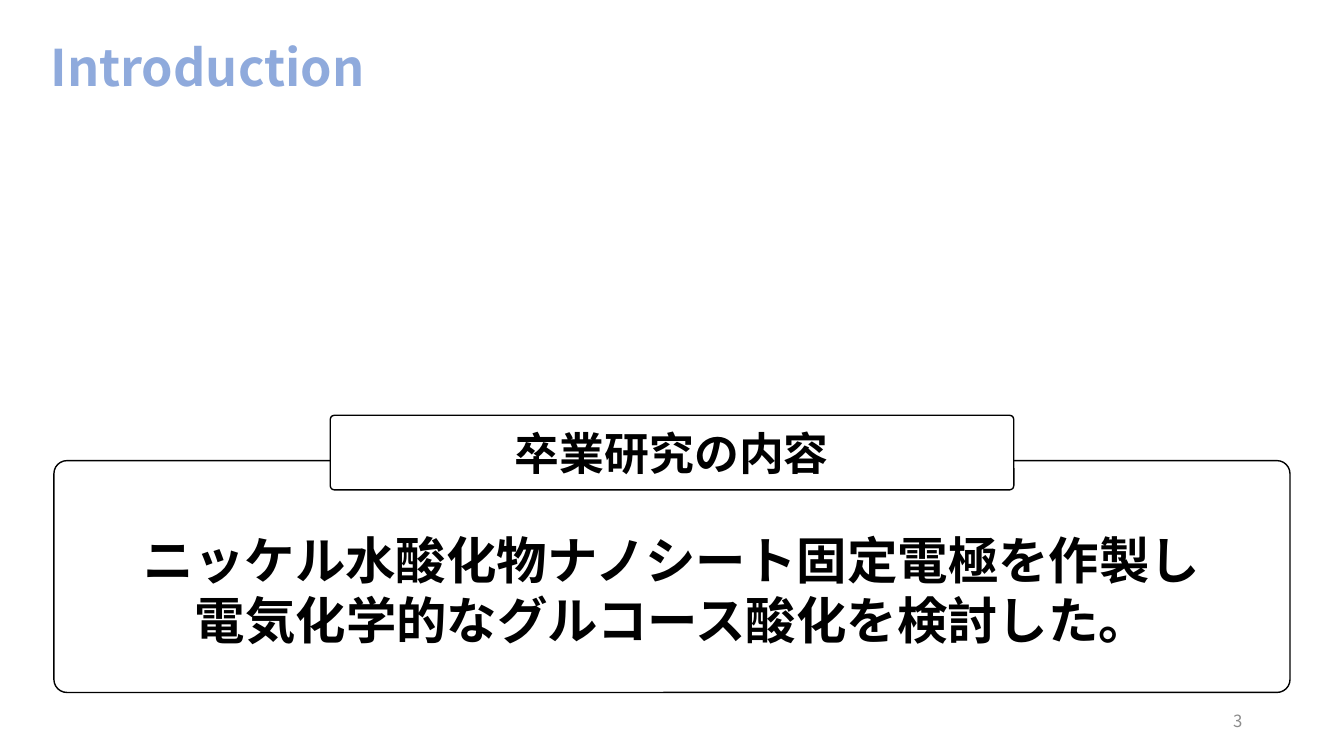
from lxml import etree
from pptx import Presentation
from pptx.dml.color import RGBColor
from pptx.enum import shapes, text
from pptx.oxml.ns import qn
from pptx.util import Inches, Pt

# Content
TITLE = "Introduction"
HEADING = "卒業研究の内容"
SUMMARY = [
    "ニッケル水酸化物ナノシート固定電極を作製し",
    "電気化学的なグルコース酸化を検討した。",
]
PAGE_NUMBER = "3"

# Style
FONT = "Noto Sans CJK JP"
BLUE = RGBColor(0x8F, 0xAA, 0xDC)
GRAY = RGBColor(0x8C, 0x8C, 0x8C)
BLACK = RGBColor(0, 0, 0)
WHITE = RGBColor(255, 255, 255)
LEFT, CENTER, RIGHT = (text.PP_ALIGN.LEFT, text.PP_ALIGN.CENTER,
                       text.PP_ALIGN.RIGHT)
TOP, MIDDLE = text.MSO_ANCHOR.TOP, text.MSO_ANCHOR.MIDDLE

# Layout in inches
WIDTH, HEIGHT = 13.33, 7.5
FRAME_TOP, FRAME_W, FRAME_H = 4.57, 12.26, 2.3
HEADING_TOP, HEADING_W, HEADING_H = 4.12, 6.78, 0.74
SUMMARY_TOP, SUMMARY_W, SUMMARY_H = 5.2, 11.99, 1.16


def centered(top, width, height):
    return [Inches(n) for n in ((WIDTH - width) / 2, top, width, height)]


def write(sp, lines, size, color, align, anchor=MIDDLE, bold=True):
    tf = sp.text_frame
    tf.word_wrap = True
    tf.vertical_anchor = anchor
    tf.text = "\n".join(lines)
    for p in tf.paragraphs:
        p.alignment = align
        p.font.name, p.font.size, p.font.bold = FONT, Pt(size), bold
        p.font.color.rgb = color
        # Japanese glyphs take the East Asian typeface
        props = p.font._element if hasattr(p.font, "_element") else p.font._rPr
        etree.SubElement(props, qn("a:ea")).set("typeface", FONT)


def add_box(parent, place):
    sp = parent.add_shape(shapes.MSO_SHAPE.ROUNDED_RECTANGLE, *place)
    sp.adjustments[0] = 0.056
    sp.shadow.inherit = False
    sp.fill.background()
    sp.line.color.rgb = BLACK
    sp.line.width = Pt(1)
    return sp


prs = Presentation()
prs.slide_width, prs.slide_height = Inches(WIDTH), Inches(HEIGHT)
s = prs.slides.add_slide(prs.slide_layouts[5])

# Title
title = s.shapes.title
title.left, title.top = Inches(0.4), Inches(0.35)
title.width, title.height = Inches(4.47), Inches(0.7)
write(title, [TITLE], 36, BLUE, LEFT)
title.text_frame.paragraphs[0].line_spacing = 0.9

# Page number
number = s.shapes.add_textbox(Inches(9.42), Inches(6.95), Inches(3), Inches(0.4))
write(number, [PAGE_NUMBER], 12, GRAY, RIGHT, bold=False)

# Framed summary with its heading
panel = s.shapes.add_group_shape().shapes
summary = panel.add_textbox(*centered(SUMMARY_TOP, SUMMARY_W, SUMMARY_H))
write(summary, SUMMARY, 36, BLACK, CENTER, TOP)
summary.text_frame.auto_size = text.MSO_AUTO_SIZE.SHAPE_TO_FIT_TEXT
add_box(panel, centered(FRAME_TOP, FRAME_W, FRAME_H))
heading = add_box(panel, centered(HEADING_TOP, HEADING_W, HEADING_H))
heading.fill.solid()
heading.fill.fore_color.rgb = WHITE
write(heading, [HEADING], 32, BLACK, CENTER)

prs.save("out.pptx")
